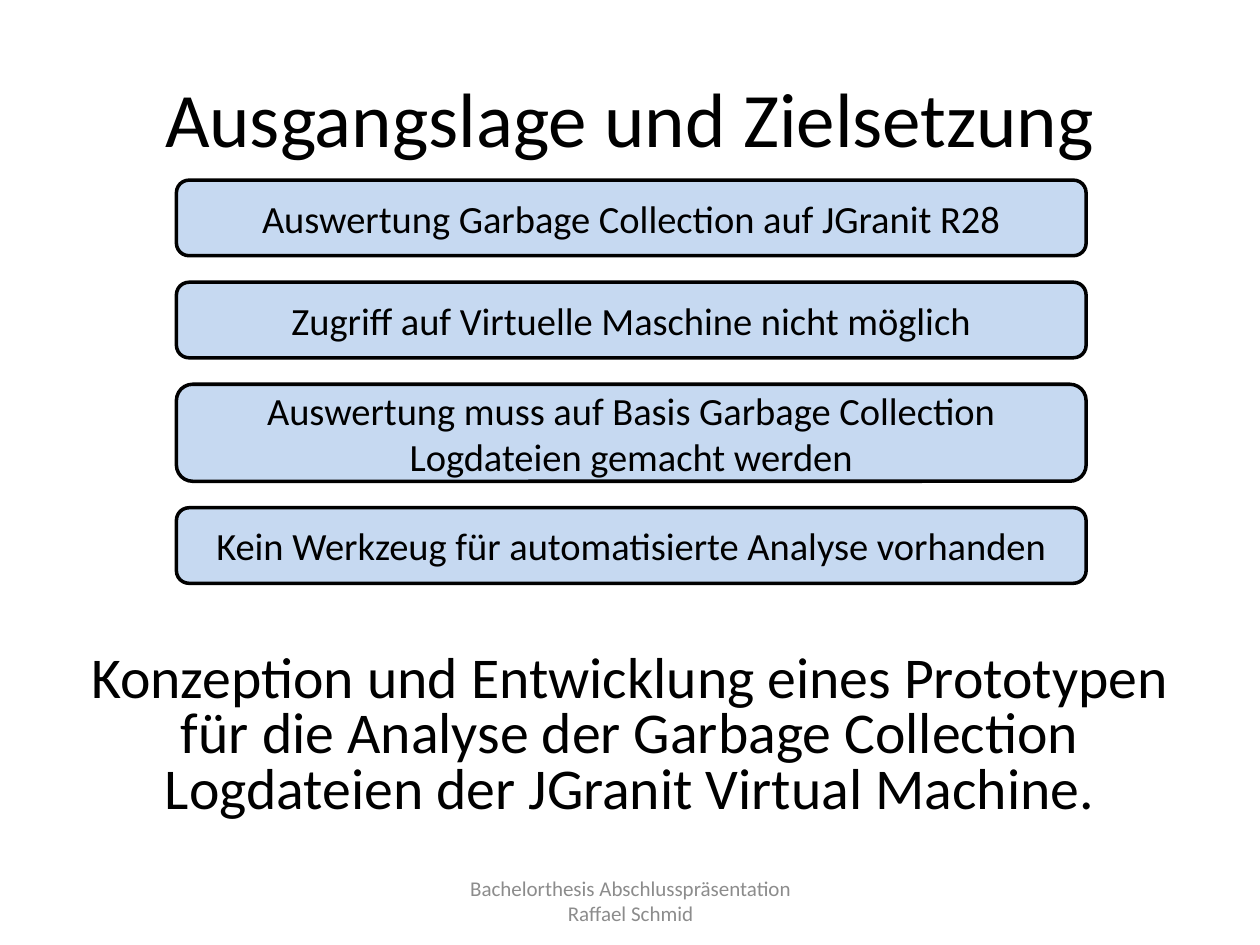
from dataclasses import dataclass

from pptx import Presentation
from pptx.dml.color import RGBColor
from pptx.enum.shapes import MSO_SHAPE
from pptx.enum.text import MSO_ANCHOR, PP_ALIGN
from pptx.util import Inches, Pt

ROUND = MSO_SHAPE.ROUNDED_RECTANGLE
MIDDLE = MSO_ANCHOR.MIDDLE
CENTER = PP_ALIGN.CENTER


@dataclass(frozen=True)
class Theme:
    font: str = "Calibri"
    ink: RGBColor = RGBColor(0x00, 0x00, 0x00)
    muted: RGBColor = RGBColor(0x8C, 0x8C, 0x8C)
    fill: RGBColor = RGBColor(0xC6, 0xD9, 0xF1)
    title: int = 44
    goal: int = 33
    fact: int = 22
    foot: int = 12
    line: int = 2


class Deck:
    def __init__(self, slide, theme):
        self.slide = slide
        self.theme = theme

    def set_text(self, shape, text, size, color, spacing=None):
        """Put one centred paragraph into the shape."""
        frame = shape.text_frame
        frame.word_wrap = True
        frame.vertical_anchor = MIDDLE
        para = frame.paragraphs[0]
        para.text = text
        para.alignment = CENTER
        if spacing:
            para.line_spacing = spacing
        para.font.name = self.theme.font
        para.font.size = Pt(size)
        para.font.color.rgb = color

    def label(self, box, text, size, color, spacing=None):
        shape = self.slide.shapes.add_textbox(*map(Inches, box))
        self.set_text(shape, text, size, color, spacing)

    def panel(self, box, text):
        theme = self.theme
        shape = self.slide.shapes.add_shape(ROUND, *map(Inches, box))
        shape.shadow.inherit = False
        shape.fill.solid()
        shape.fill.fore_color.rgb = theme.fill
        shape.line.color.rgb = theme.ink
        shape.line.width = Pt(theme.line)
        self.set_text(shape, text, theme.fact, theme.ink)


FACTS = [
    ("Auswertung Garbage Collection auf JGranit R28", 0.6),
    ("Zugriff auf Virtuelle Maschine nicht möglich", 0.6),
    ("Auswertung muss auf Basis Garbage Collection "
     "Logdateien gemacht werden", 0.77),
    ("Kein Werkzeug für automatisierte Analyse vorhanden", 0.6),
]
GOAL = ("Konzeption und Entwicklung eines Prototypen für die Analyse der "
        "Garbage Collection Logdateien der JGranit Virtual Machine.")
FOOT = "Bachelorthesis Abschlusspräsentation\vRaffael Schmid"


def main():
    prs = Presentation()
    prs.slide_width, prs.slide_height = Inches(10), Inches(7.5)
    theme = Theme()
    deck = Deck(prs.slides.add_slide(prs.slide_layouts[6]), theme)

    deck.label((0.5, 0.3, 9, 1.25), "Ausgangslage und Zielsetzung",
               theme.title, theme.ink)
    deck.label((3.42, 6.95, 3.17, 0.4), FOOT, theme.foot, theme.muted)
    deck.label((0.5, 5, 9, 1.7), GOAL, theme.goal, theme.ink, 0.8)

    top, gap = 1.43, 0.21
    for text, height in FACTS:
        deck.panel((1.4, top, 7.22, height), text)
        top += height + gap

    prs.save("out.pptx")


if __name__ == "__main__":
    main()
